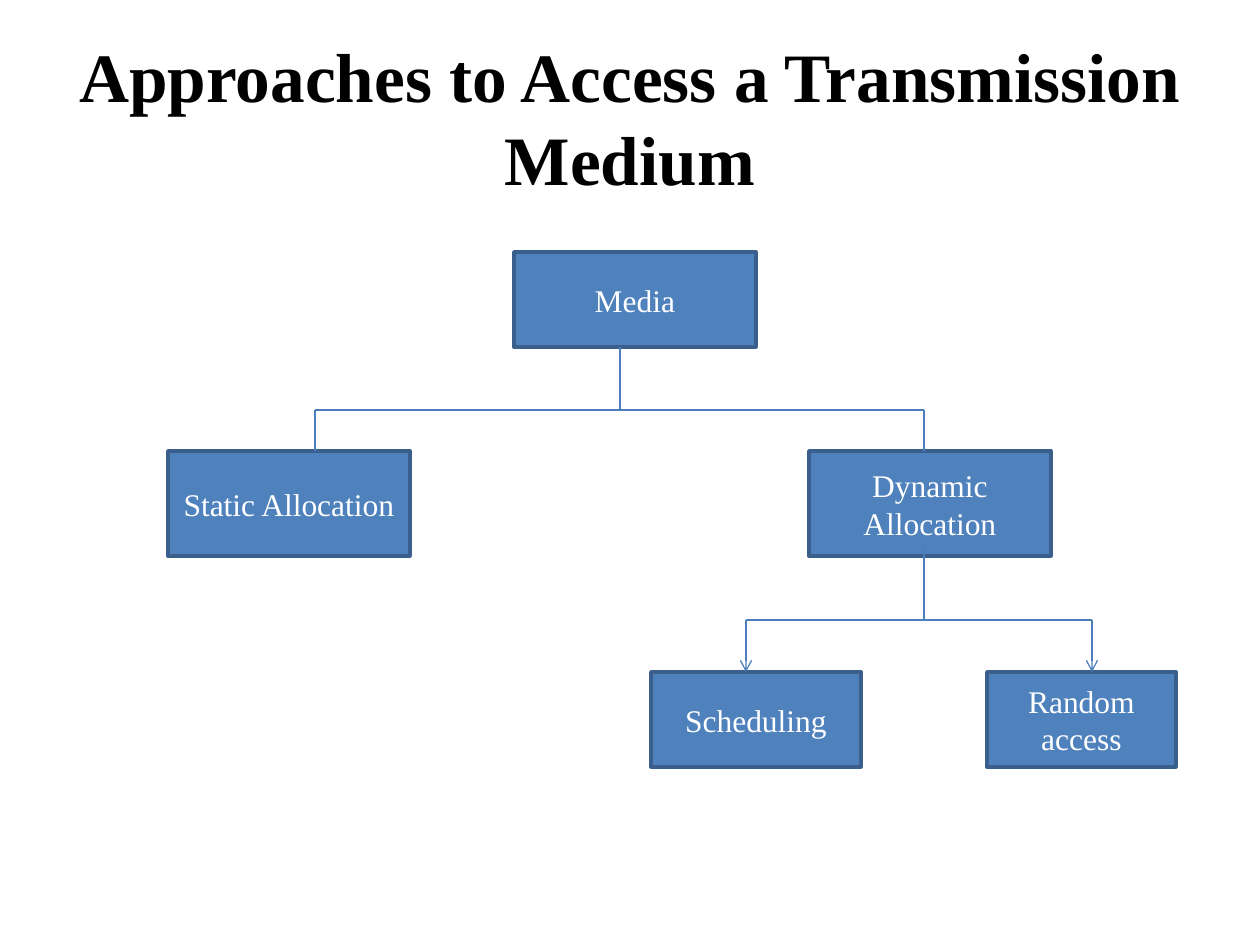
"""Build a slide with a tree of approaches to access a transmission medium."""
import pptx
import pptx.dml.color
import pptx.enum.shapes
import pptx.enum.text
import pptx.oxml.ns
import pptx.util
from lxml import etree

PX = 7257
FONT = "Times New Roman"


def rgb(color, value):
    color.rgb = pptx.dml.color.RGBColor.from_string(value)


def write(sp, text, size=18, color="FFFFFF", bold=False):
    tf = sp.text_frame
    tf.word_wrap = True
    tf.vertical_anchor = pptx.enum.text.MSO_ANCHOR.MIDDLE
    p = tf.paragraphs[0]
    p.alignment = pptx.enum.text.PP_ALIGN.CENTER
    r = p.add_run()
    r.text = text
    r.font.name = FONT
    r.font.size = pptx.util.Pt(size)
    r.font.bold = bold
    rgb(r.font.color, color)


prs = pptx.Presentation()
prs.slide_width = pptx.util.Inches(10)
prs.slide_height = pptx.util.Inches(7.5)
s = prs.slides.add_slide(prs.slide_layouts[6])

title = s.shapes.add_textbox(63 * PX, 38 * PX, 1134 * PX, 157 * PX)
write(title, "Approaches to Access a Transmission Medium", size=39.6, color="000000", bold=True)

boxes = [
    ("Media", 514, 252, 242, 95),
    ("Static Allocation", 168, 451, 242, 105),
    ("Dynamic Allocation", 809, 451, 242, 105),
    ("Scheduling", 651, 672, 210, 95),
    ("Random access", 987, 672, 189, 95),
]
for text, x, y, w, h in boxes:
    sp = s.shapes.add_shape(pptx.enum.shapes.MSO_SHAPE.RECTANGLE, x * PX, y * PX, w * PX, h * PX)
    sp.shadow.inherit = False
    sp.fill.solid()
    rgb(sp.fill.fore_color, "4F81BD")
    rgb(sp.line.color, "3A5F8C")
    sp.line.width = pptx.util.Pt(2)
    write(sp, text)

branches = [
    (620, 347, 410, 451, (315, 924), False),
    (924, 546, 620, 672, (746, 1092), True),
]
for stem, top, bar, bottom, (left, right), arrow in branches:
    lines = [
        (stem, top, stem, bar, False),
        (left, bar, right, bar, False),
        (left, bar, left, bottom, arrow),
        (right, bar, right, bottom, arrow),
    ]
    for x1, y1, x2, y2, head in lines:
        cn = s.shapes.add_connector(
            pptx.enum.shapes.MSO_CONNECTOR.STRAIGHT, x1 * PX, y1 * PX, x2 * PX, y2 * PX
        )
        rgb(cn.line.color, "4B7EBC")
        cn.line.width = pptx.util.Pt(0.75)
        if head:
            ln = cn.line._get_or_add_ln()
            etree.SubElement(ln, pptx.oxml.ns.qn("a:tailEnd"), type="arrow")
        etree.SubElement(cn._element.spPr, pptx.oxml.ns.qn("a:effectLst"))

prs.save("out.pptx")
